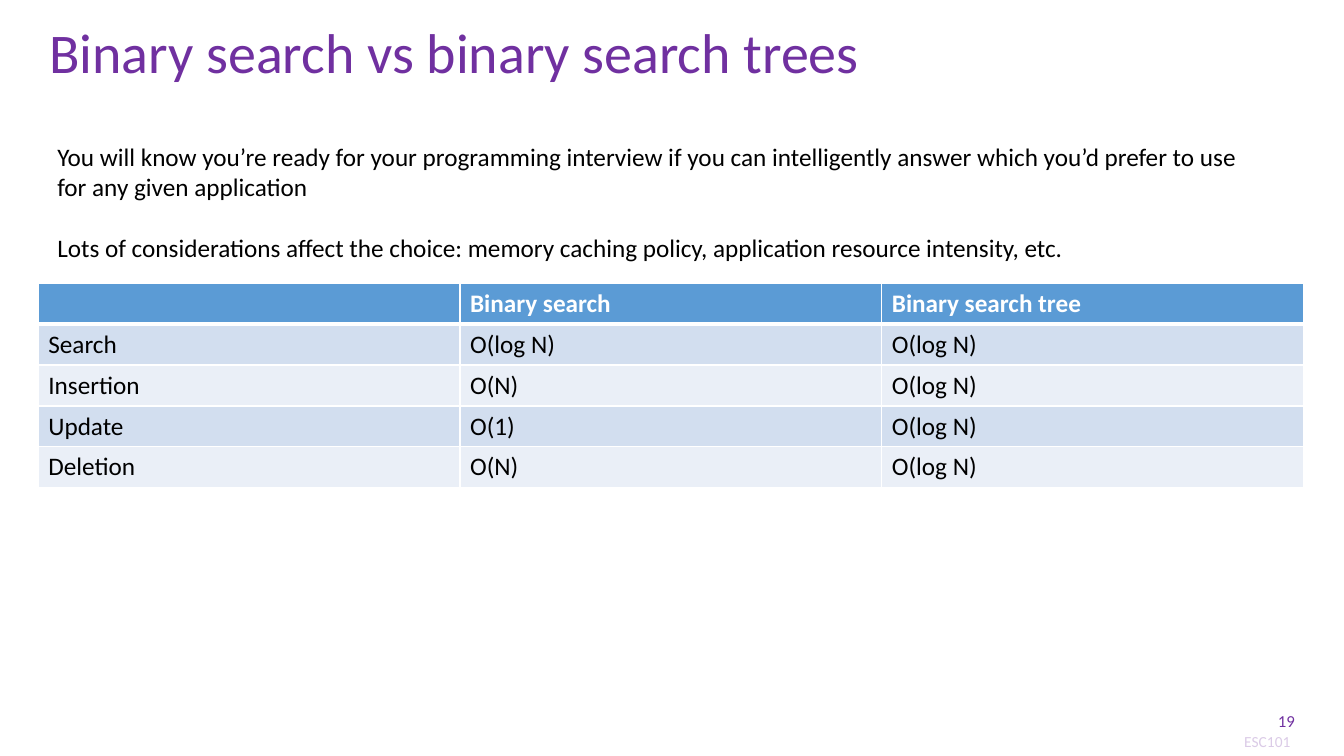
"""Builds a slide comparing binary search with binary search trees."""
from lxml.etree import SubElement
from pptx import Presentation
from pptx.dml.color import RGBColor
from pptx.enum.shapes import MSO_SHAPE
from pptx.enum.text import MSO_ANCHOR, PP_ALIGN
from pptx.oxml.ns import qn
from pptx.util import Inches, Pt

PURPLE, WHITE, BLACK = "7030A0", "FFFFFF", "000000"
HEADER, BANDS = "5B9BD5", ("D2DEEF", "EAEFF7")

COMPLEXITIES = [
    ("", "Binary search", "Binary search tree"),
    ("Search", "O(log N)", "O(log N)"),
    ("Insertion", "O(N)", "O(log N)"),
    ("Update", "O(1)", "O(log N)"),
    ("Deletion", "O(N)", "O(log N)"),
]
ADVICE = [
    "You will know you’re ready for your programming interview if you can "
    "intelligently answer which you’d prefer to use for any given application",
    "Lots of considerations affect the choice: memory caching policy, "
    "application resource intensity, etc.",
]


def color(value):
    return RGBColor.from_string(value)


def write(frame, *lines, size=18, ink=BLACK, bold=False, align=PP_ALIGN.LEFT,
          spacing=None, gap=0, font="Calibri"):
    for index, line in enumerate(lines):
        paragraph = frame.add_paragraph() if index else frame.paragraphs[0]
        paragraph.alignment = align
        paragraph.line_spacing = spacing
        if index:
            paragraph.space_before = Pt(gap)
        paragraph.font.size = Pt(size)
        if line:
            run = paragraph.add_run()
            run.text = line
            run.font.name = font
            run.font.size = Pt(size)
            run.font.bold = bold
            run.font.color.rgb = color(ink)


def add_border(cell, side, width):
    edge = SubElement(cell._tc.get_or_add_tcPr(), qn(f"a:ln{side}"), w=str(Pt(width)))
    SubElement(SubElement(edge, qn("a:solidFill")), qn("a:srgbClr"), val=WHITE)


class SlideBuilder:
    def __init__(self, slide):
        self.slide = slide

    def text(self, box, *lines, anchor=MSO_ANCHOR.TOP, **style):
        frame = self.slide.shapes.add_textbox(*map(Inches, box)).text_frame
        frame.word_wrap = True
        frame.vertical_anchor = anchor
        write(frame, *lines, **style)

    def veil(self, box, opacity):
        veil = self.slide.shapes.add_shape(MSO_SHAPE.RECTANGLE, *map(Inches, box))
        veil.shadow.inherit = False
        veil.fill.solid()
        veil.fill.fore_color.rgb = color(WHITE)
        veil.line.fill.background()
        tint = veil._element.spPr.find(qn("a:solidFill"))[0]
        SubElement(tint, qn("a:alpha"), val=str(opacity * 1000))

    def table(self, box, rows):
        table = self.slide.shapes.add_table(
            len(rows), len(rows[0]), *map(Inches, box)).table
        for r, row in enumerate(rows):
            is_header = r == 0
            for c, entry in enumerate(row):
                cell = table.cell(r, c)
                for side in "LRTB":
                    at_header_rule = (r, side) in ((0, "B"), (1, "T"))
                    add_border(cell, side, 3 if at_header_rule else 1)
                cell.fill.solid()
                cell.fill.fore_color.rgb = color(
                    HEADER if is_header else BANDS[(r - 1) % 2])
                write(cell.text_frame, entry, bold=is_header,
                      ink=WHITE if is_header else BLACK)


def main():
    deck = Presentation()
    deck.slide_width, deck.slide_height = Inches(13.33), Inches(7.5)
    page = SlideBuilder(deck.slides.add_slide(deck.slide_layouts[6]))
    page.text((11.8, 7.21, 1.54, 0.29), "ESC101", size=11, ink=PURPLE,
              align=PP_ALIGN.CENTER)
    page.veil((11.8, 5.73, 1.53, 1.77), opacity=75)
    page.text((0.39, 0, 12.55, 1.1), "Binary search vs binary search trees",
              size=40, ink=PURPLE, spacing=0.9, anchor=MSO_ANCHOR.MIDDLE)
    page.table((0.38, 2.81, 12.55, 2.03), COMPLEXITIES)
    page.text((12.42, 6.95, 0.52, 0.4), "19", size=12, ink=PURPLE,
              align=PP_ALIGN.RIGHT, anchor=MSO_ANCHOR.MIDDLE)
    page.text((0.47, 1.35, 12.14, 1.31), *ADVICE, gap=22)
    deck.save("out.pptx")


if __name__ == "__main__":
    main()
